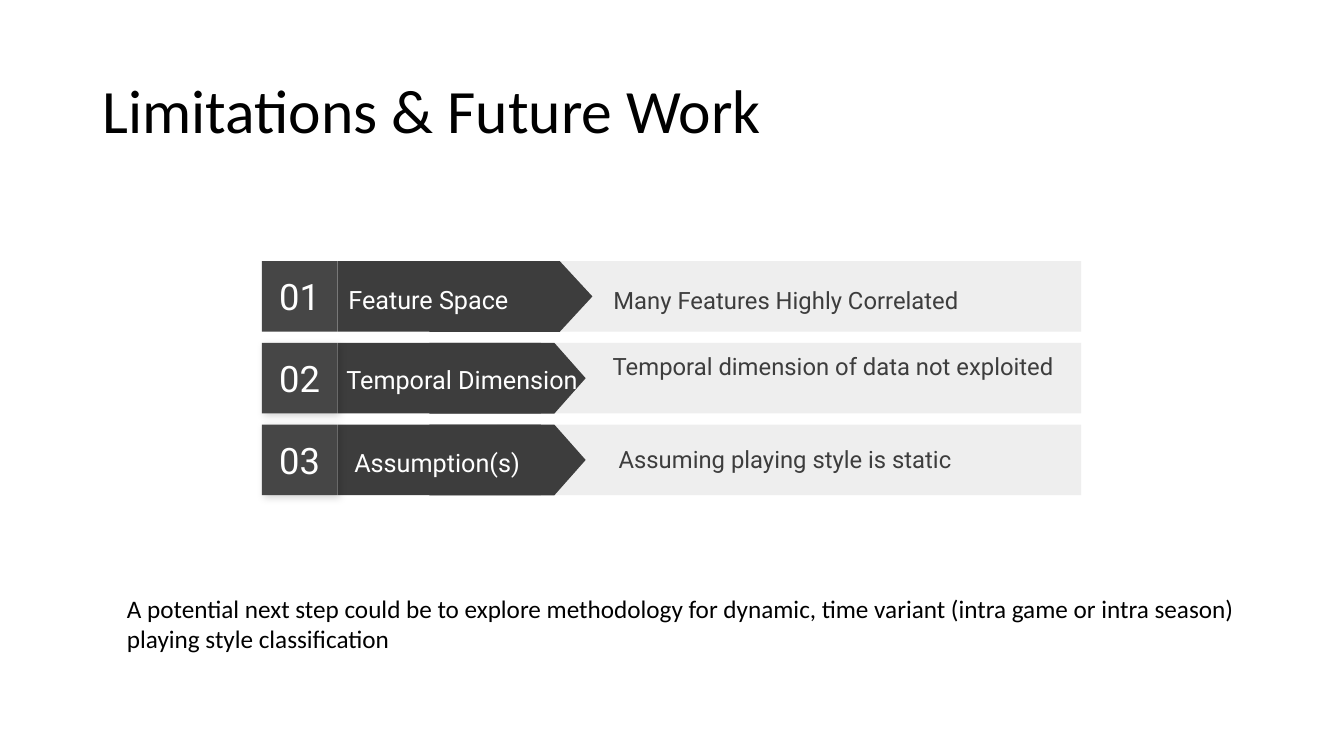
import dataclasses

import lxml.etree
import pptx
import pptx.dml.color
import pptx.enum.shapes
import pptx.enum.text
import pptx.oxml.ns
import pptx.util

Cm = pptx.util.Cm
Pt = pptx.util.Pt
Shapes = pptx.enum.shapes.MSO_SHAPE
Anchor = pptx.enum.text.MSO_ANCHOR
Align = pptx.enum.text.PP_ALIGN


@dataclasses.dataclass(frozen=True)
class Theme:
    body_font: str = "Calibri"
    banner_font: str = "Roboto"
    black: str = "000000"
    white: str = "FFFFFF"
    dark: str = "3D3D3D"
    badge: str = "464646"
    panel: str = "EEEEEE"
    title_size: int = 44
    number_size: int = 26
    text_size: int = 18
    detail_size: int = 17


@dataclasses.dataclass(frozen=True)
class Banner:
    """One row; offsets are in cm from the row's top left corner."""
    number: str
    label: str
    label_at: tuple
    label_width: float
    arrow_length: float
    detail: str
    detail_at: tuple
    detail_spacing: float
    shadow: bool


THEME = Theme()
BANNERS = [
    Banner("01", "Feature Space", (1.93, 0.23), 5.38, 4.11,
           "Many Features Highly Correlated", (7.34, 0.03), 1.15, False),
    Banner("02", "Temporal Dimension", (1.88, 0.18), 7.01, 3.94,
           "Temporal dimension of data not exploited", (7.32, -0.25), 0.9, True),
    Banner("03", "Assumption(s)", (2.08, 0.2), 5.38, 3.94,
           "Assuming playing style is static", (7.47, 0.03), 0.9, True),
]


def write(shape, text, font, size, color, spacing=1.0, align=Align.LEFT):
    frame = shape.text_frame
    frame.word_wrap = True
    frame.text = text
    paragraph = frame.paragraphs[0]
    paragraph.alignment = align
    paragraph.line_spacing = spacing
    paragraph.font.name = font
    paragraph.font.size = Pt(size)
    paragraph.font.color.rgb = pptx.dml.color.RGBColor.from_string(color)
    return frame


def set_insets(frame, left=0.25):
    frame.vertical_anchor = Anchor.MIDDLE
    frame.margin_left = Cm(left)
    frame.margin_top = frame.margin_right = frame.margin_bottom = Cm(0.25)


def add_block(shapes, kind, left, top, width, height, color):
    block = shapes.add_shape(kind, Cm(left), Cm(top), Cm(width), Cm(height))
    block.shadow.inherit = False
    block.fill.solid()
    block.fill.fore_color.rgb = pptx.dml.color.RGBColor.from_string(color)
    block.line.fill.background()
    return block


def add_soft_shadow(shape):
    qn = pptx.oxml.ns.qn
    effects = shape._element.spPr.find(qn("a:effectLst"))
    shadow = lxml.etree.SubElement(
        effects, qn("a:outerShdw"), blurRad=str(Pt(5.6)), dist=str(Pt(2.2)),
        dir=str(45 * 60000), algn="tl", rotWithShape="0")
    color = lxml.etree.SubElement(shadow, qn("a:srgbClr"), val=THEME.black)
    lxml.etree.SubElement(color, qn("a:alpha"), val="17000")


def add_title(slide, left, top, width, height):
    title = slide.shapes.title
    title.left, title.top = Cm(left), Cm(top)
    title.width, title.height = Cm(width), Cm(height)
    frame = write(title, "Limitations & Future Work", THEME.body_font,
                  THEME.title_size, THEME.black, 0.9)
    frame.vertical_anchor = Anchor.MIDDLE


def add_banner(slide, banner, left, top, width, height):
    shapes = slide.shapes.add_group_shape().shapes
    badge_width, panel_start, arrow_start = 1.9, 5.92, 4.22

    # Pale panel and dark label bar
    add_block(shapes, Shapes.RECTANGLE, left + panel_start, top,
              width - panel_start, height, THEME.panel)
    add_block(shapes, Shapes.RECTANGLE, left + badge_width, top,
              5.13, height, THEME.dark)

    # Arrow tip: a downward shape turned to point right about its centre
    length = banner.arrow_length
    arrow = add_block(shapes, Shapes.FLOWCHART_OFFPAGE_CONNECTOR,
                      left + arrow_start + (length - height) / 2,
                      top + (height - length) / 2,
                      height, length, THEME.dark)
    arrow.rotation = 270

    # Label
    label_left, label_top = banner.label_at
    label = shapes.add_textbox(Cm(left + label_left), Cm(top + label_top),
                               Cm(banner.label_width), Cm(1.37))
    set_insets(write(label, banner.label, THEME.banner_font,
                     THEME.text_size, THEME.white, 1.15))

    # Number badge
    badge = add_block(shapes, Shapes.RECTANGLE, left, top,
                      badge_width, height, THEME.badge)
    set_insets(write(badge, banner.number, THEME.banner_font,
                     THEME.number_size, THEME.white, align=Align.CENTER))
    if banner.shadow:
        add_soft_shadow(badge)

    # Detail
    detail_left, detail_top = banner.detail_at
    detail = shapes.add_textbox(Cm(left + detail_left), Cm(top + detail_top),
                                Cm(12.9), Cm(height))
    set_insets(write(detail, banner.detail, THEME.banner_font,
                     THEME.detail_size, THEME.dark, banner.detail_spacing),
               left=1.52)


def add_banners(slide, left, top, width, row_height, pitch):
    for index, banner in enumerate(BANNERS):
        add_banner(slide, banner, left, top + index * pitch, width, row_height)


def add_next_step(slide, left, top, width, height):
    note = slide.shapes.add_textbox(Cm(left), Cm(top), Cm(width), Cm(height))
    write(note, "A potential next step could be to explore methodology for "
          "dynamic, time variant (intra game or intra season) playing style "
          "classification", THEME.body_font, THEME.text_size, THEME.black)


def main():
    presentation = pptx.Presentation()
    presentation.slide_width, presentation.slide_height = Cm(33.87), Cm(19.05)
    title_only = presentation.slide_layouts[5]
    slide = presentation.slides.add_slide(title_only)
    add_title(slide, 2.33, 1.01, 29.21, 3.68)
    add_banners(slide, 6.6, 6.58, 20.65, row_height=1.78, pitch=2.06)
    add_next_step(slide, 2.95, 14.83, 28.6, 1.8)
    presentation.save("out.pptx")


if __name__ == "__main__":
    main()
